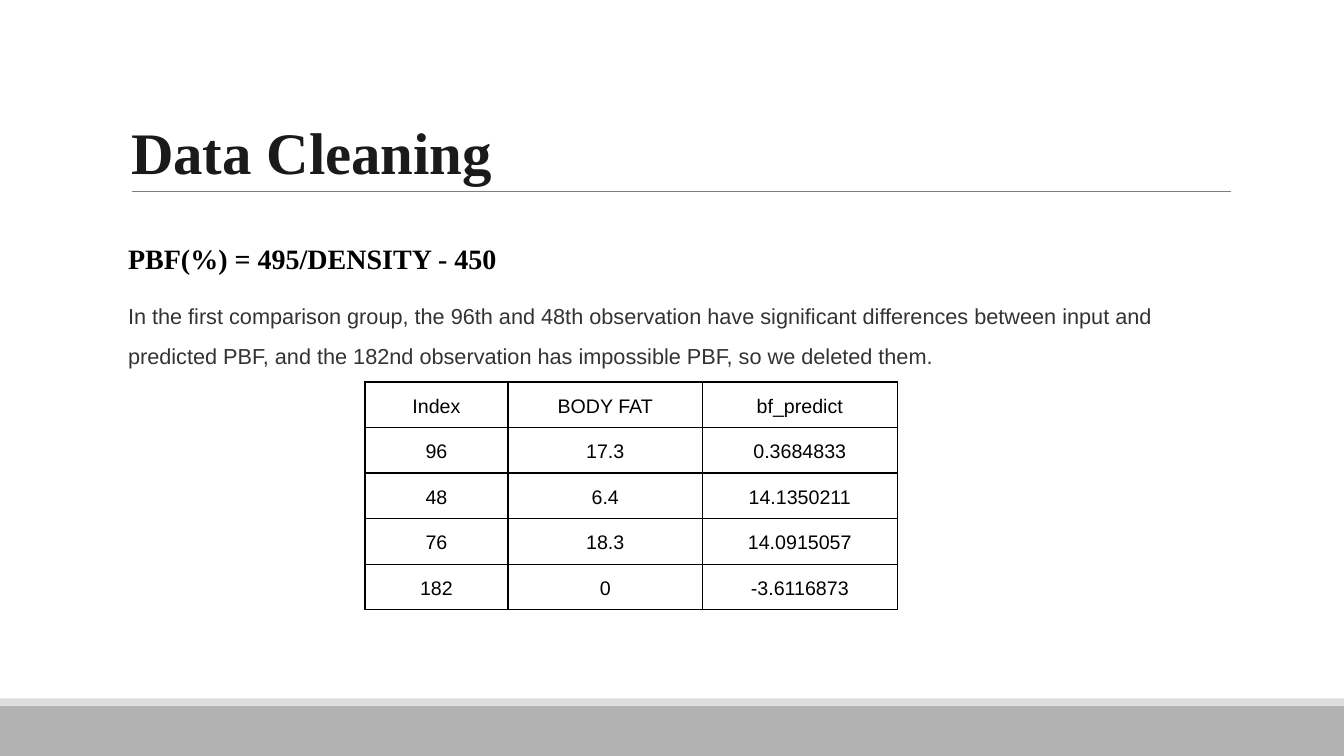
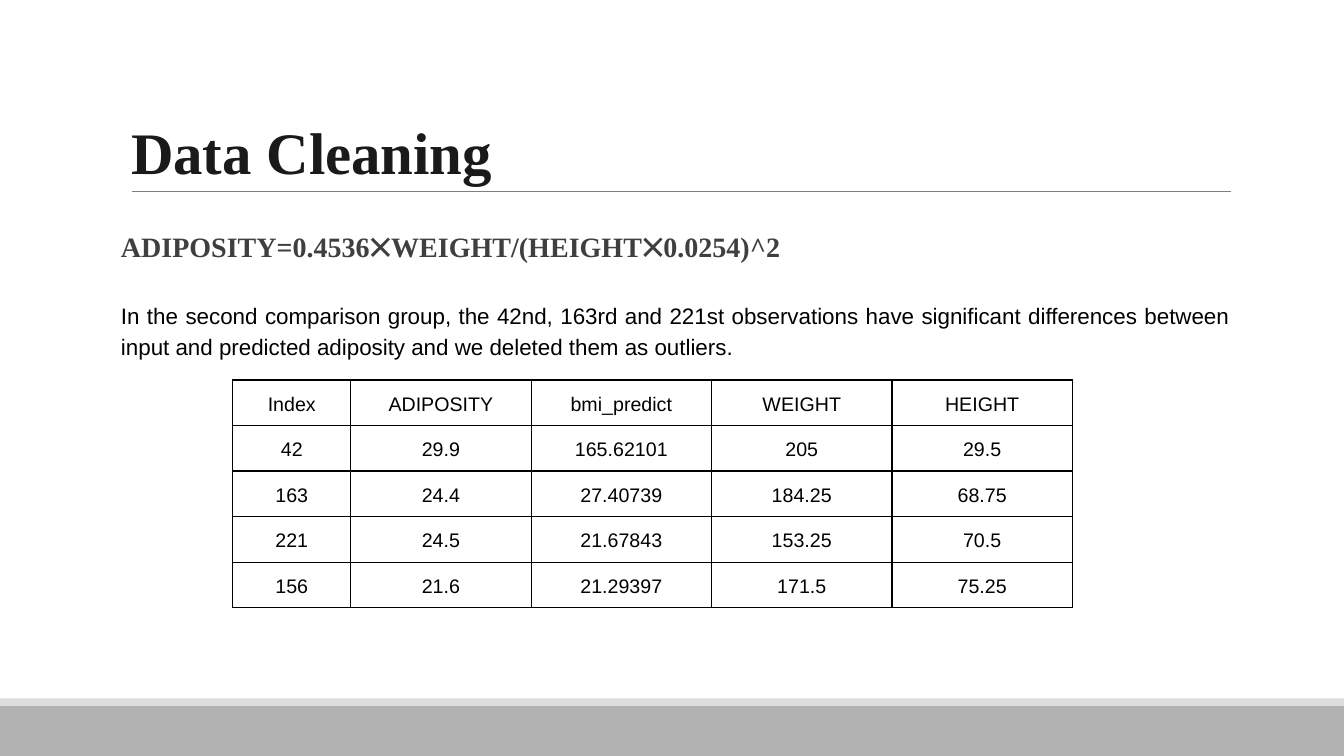
from lxml.etree import SubElement
from pptx import Presentation
from pptx.dml.color import RGBColor
from pptx.enum.shapes import MSO_CONNECTOR, MSO_SHAPE
from pptx.enum.text import MSO_ANCHOR, MSO_AUTO_SIZE, PP_ALIGN
from pptx.oxml import parse_xml
from pptx.oxml.ns import nsdecls, qn
from pptx.util import Inches, Pt

BLACK = RGBColor(0x00, 0x00, 0x00)
INK = RGBColor(0x1A, 0x1A, 0x1A)
DARK = RGBColor(0x33, 0x33, 0x33)
SLATE = RGBColor(0x3F, 0x3F, 0x3F)
RULE = RGBColor(0x7F, 0x7F, 0x7F)
BAND = RGBColor(0xB2, 0xB2, 0xB2)
EDGE = RGBColor(0xDD, 0xDD, 0xDD)

SERIF, SANS = "Times New Roman", "Arial"
UNIT = 0.1
COLS, ROWS = 133.33, 75
ROW = 4.5
LEFT, CENTER, JUST = PP_ALIGN.LEFT, PP_ALIGN.CENTER, PP_ALIGN.JUSTIFY


def grid(*steps):
    return [Inches(step * UNIT) for step in steps]


def style(item, form):
    for key, value in form.items():
        setattr(item, key, value)


def face(name, size, bold=False):
    return {"name": name, "size": Pt(size), "bold": bold}


def flow(lines, before=0, align=LEFT):
    return {"line_spacing": lines, "space_before": Pt(before),
            "space_after": Pt(0), "alignment": align}


HEAD = face(SERIF, 42, True)
LEAD = face(SERIF, 20, True)
DATA = face(SANS, 14)


def place(shape, box):
    style(shape, dict(zip(("left", "top", "width", "height"), grid(*box))))


def write(para, text, font, color, form):
    run = para.add_run()
    run.text = text
    style(run.font, font)
    run.font.color.rgb = color
    style(para, form)


def band(slide, top, deep, color):
    shape = slide.shapes.add_shape(MSO_SHAPE.RECTANGLE,
                                   *grid(0, top, COLS, deep))
    shape.shadow.inherit = False
    shape.fill.solid()
    shape.fill.fore_color.rgb = color
    shape.line.fill.background()
    return shape


def rule(slide, left, right, top):
    line = slide.shapes.add_connector(MSO_CONNECTOR.STRAIGHT,
                                      *grid(left, top, right, top))
    line.line.color.rgb = RULE
    line.line.width = Pt(0.75)
    SubElement(line.element.spPr, qn("a:effectLst"))
    return line


def frame(deck, layout):
    for holder in list(layout.placeholders):
        if holder.placeholder_format.idx >= 10:
            holder.element.getparent().remove(holder.element)
        elif holder.placeholder_format.idx == 0:
            place(holder, (12, 3.1, 110, 15.9))
    slide = deck.slides.add_slide(layout)
    parts = [band(slide, 70, 5, BAND), band(slide, 69.3, 0.7, EDGE),
             rule(slide, 13.1, 122.1, 19)]
    for spot, part in enumerate(parts, 2):
        layout.shapes.element.insert(spot, part.element)
    return slide


def title(slide, text):
    text_box = slide.shapes.title.text_frame
    style(text_box, {"vertical_anchor": MSO_ANCHOR.BOTTOM,
                     "auto_size": MSO_AUTO_SIZE.NONE})
    write(text_box.paragraphs[0], text, HEAD, INK, flow(0.85))


def body(slide, box, items):
    holder = slide.placeholders[1]
    place(holder, box)
    text_box = holder.text_frame
    style(text_box, {"margin_left": 0, "margin_right": 0,
                     "auto_size": MSO_AUTO_SIZE.NONE})
    for spot, item in enumerate(items):
        para = text_box.add_paragraph() if spot else text_box.paragraphs[0]
        write(para, *item)
        props = para._p.get_or_add_pPr()
        props.set("marL", "0")
        props.set("indent", "0")
        SubElement(props, qn("a:buNone"))


def border(cell):
    props = cell._tc.get_or_add_tcPr()
    for spot, side in enumerate(("lnL", "lnR", "lnT", "lnB")):
        props.insert(spot, parse_xml(
            f'<a:{side} {nsdecls("a")} w="{Pt(1)}"><a:solidFill>'
            f'<a:srgbClr val="{BLACK}"/></a:solidFill></a:{side}>'))


def table(slide, left, top, wides, rows):
    shape = slide.shapes.add_table(
        len(rows), len(wides),
        *grid(left, top, sum(wides), ROW * len(rows)))
    data = shape.table
    style(data, {"first_row": False, "horz_banding": False})
    for col, wide in zip(data.columns, grid(*wides)):
        col.width = wide
    side, edge = grid(0.7, 1)
    for line, row in zip(data.rows, rows):
        for cell, text in zip(line.cells, row.split()):
            style(cell, {"margin_left": side, "margin_right": side,
                         "margin_top": edge, "margin_bottom": edge})
            cell.fill.background()
            border(cell)
            write(cell.text_frame.paragraphs[0], text.replace("~", " "),
                  DATA, BLACK, flow(1.15, align=CENTER))


def main():
    deck = Presentation()
    deck.slide_width, deck.slide_height = grid(COLS, ROWS)
    layout = deck.slide_layouts[1]

    fat = frame(deck, layout)
    title(fat, "Data Cleaning")
    body(fat, (12.7, 23, 110, 44), [
        ("PBF(%) = 495/DENSITY - 450", LEAD, BLACK, flow(1.15)),
        ("In the first comparison group, the 96th and 48th observation have "
         "significant differences between input and predicted PBF, and the "
         "182nd observation has impossible PBF, so we deleted them.",
         face(SANS, 15.5), DARK, flow(1.52, 10)),
    ])
    table(fat, 36.2, 37.9, [14.2] + [19.3] * 2, [
        "Index BODY~FAT bf_predict",
        "96 17.3 0.3684833",
        "48 6.4 14.1350211",
        "76 18.3 14.0915057",
        "182 0 -3.6116873",
    ])

    mass = deck.slides.add_slide(layout)
    title(mass, "Data Cleaning")
    body(mass, (12, 22.6, 110, 41.6), [
        ("ADIPOSITY=0.4536✕WEIGHT/(HEIGHT✕0.0254)^2", LEAD, SLATE, flow(0.9)),
        ("In the second comparison group, the 42nd, 163rd and 221st "
         "observations have significant differences between input and "
         "predicted adiposity and we deleted them as outliers.",
         face(SANS, 16), BLACK, flow(1.15, 25, JUST)),
    ])
    table(mass, 23.1, 37.7, [11.7] + [17.9] * 4, [
        "Index ADIPOSITY bmi_predict WEIGHT HEIGHT",
        "42 29.9 165.62101 205 29.5",
        "163 24.4 27.40739 184.25 68.75",
        "221 24.5 21.67843 153.25 70.5",
        "156 21.6 21.29397 171.5 75.25",
    ])
    deck.save("out.pptx")


if __name__ == "__main__":
    main()
